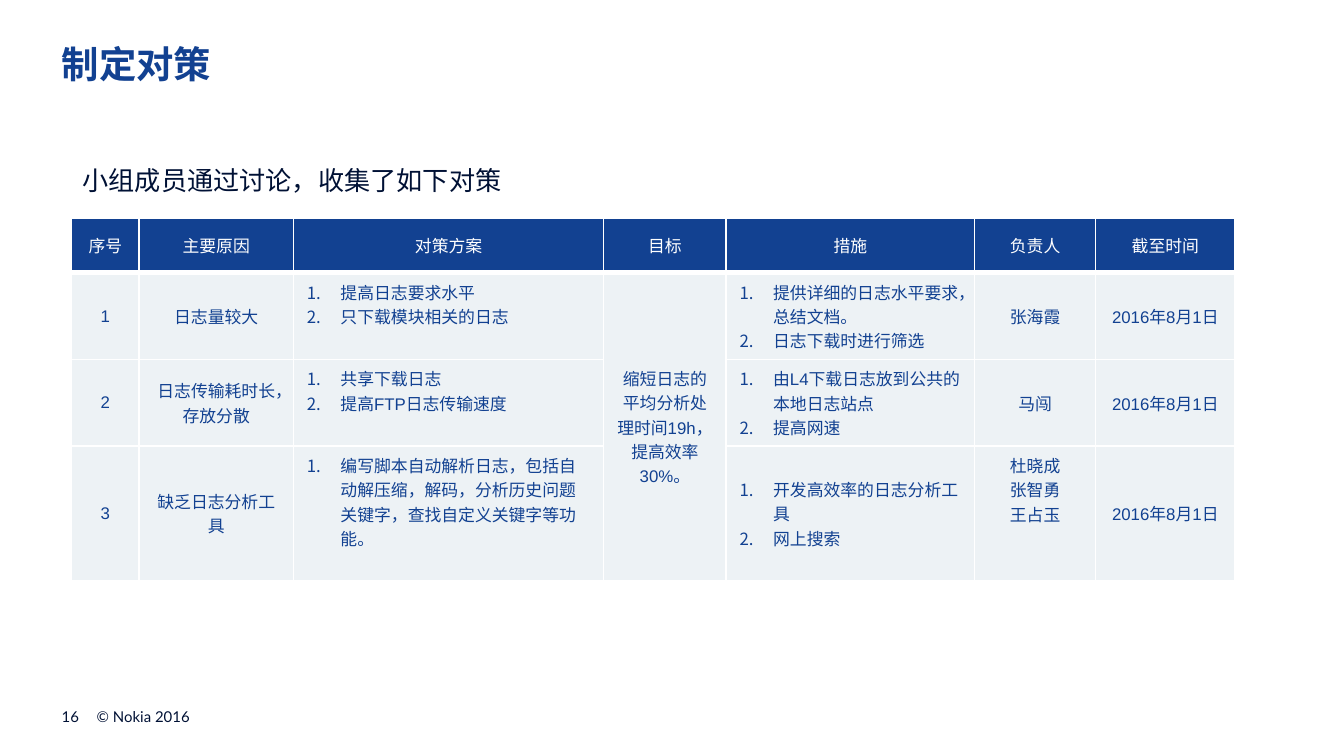
from dataclasses import dataclass

from lxml.etree import SubElement
from pptx import Presentation
from pptx.dml.color import RGBColor
from pptx.enum.text import MSO_ANCHOR as Anchor, MSO_AUTO_SIZE as AutoSize, PP_ALIGN as Align
from pptx.oxml.ns import qn
from pptx.util import Pt

BLUE = RGBColor(0x12, 0x41, 0x91)
NAVY = RGBColor(0x00, 0x11, 0x35)
PALE = RGBColor(0xED, 0xF2, 0xF5)
WHITE = RGBColor(0xFF, 0xFF, 0xFF)

LEFT_MARGIN = 33.1
TABLE_LEFT, TABLE_TOP = 38.4, 116.7
COLUMN_WIDTHS = [36, 82.8, 166.2, 65.6, 133.1, 64.9, 74.6]
ROW_HEIGHTS = [29.5, 46.4, 46.4, 72]
HEADINGS = ["序号", "主要原因", "对策方案", "目标", "措施", "负责人", "截至时间"]
GOAL_COLUMN = 3
GOAL = "缩短日志的平均分析处理时间19h，提高效率30%。"
DEADLINE = "2016年8月1日"


@dataclass
class Label:
    text: str
    left: float
    top: float
    width: float
    height: float
    size: float
    inset: float = 0
    anchor: Anchor = Anchor.TOP


@dataclass
class Measure:
    cause: str
    plans: list[str]
    actions: list[str]
    owners: list[str]


LABELS = [
    Label("16", LEFT_MARGIN, 379.4, 11.5, 9.4, 8, anchor=Anchor.BOTTOM),
    Label("© Nokia 2016", 51.8, 379.4, 141.8, 9.4, 8, anchor=Anchor.BOTTOM),
    Label("小组成员通过讨论，收集了如下对策", TABLE_LEFT, 82.1, 380.9, 28.1, 14, inset=5.8),
]

MEASURES = [
    Measure("日志量较大",
            ["提高日志要求水平", "只下载模块相关的日志"],
            ["提供详细的日志水平要求，总结文档。", "日志下载时进行筛选"],
            ["张海霞"]),
    Measure("日志传输耗时长，存放分散",
            ["共享下载日志", "提高FTP日志传输速度"],
            ["由L4下载日志放到公共的本地日志站点", "提高网速"],
            ["马闯"]),
    Measure("缺乏日志分析工具",
            ["编写脚本自动解析日志，包括自动解压缩，解码，分析历史问题关键字，查找自定义关键字等功能。"],
            ["开发高效率的日志分析工具", "网上搜索"],
            ["杜晓成", "张智勇", "王占玉"]),
]


def set_font(paragraph, name: str, size: float, color: RGBColor, bold: bool = False) -> None:
    font = paragraph.font
    font.name, font.size, font.bold = name, Pt(size), bold
    font.color.rgb = color


def set_insets(frame, inset: float) -> None:
    frame.margin_left = frame.margin_right = Pt(inset)
    frame.margin_top = frame.margin_bottom = Pt(inset)


def add_label(slide, label: Label) -> None:
    box = slide.shapes.add_textbox(
        Pt(label.left), Pt(label.top), Pt(label.width), Pt(label.height))
    frame = box.text_frame
    frame.word_wrap = True
    frame.vertical_anchor = label.anchor
    set_insets(frame, label.inset)
    frame.text = label.text
    set_font(frame.paragraphs[0], "Lato", label.size, NAVY)


def number_paragraph(paragraph) -> None:
    properties = paragraph._p.get_or_add_pPr()
    properties.set("marL", str(Pt(18)))
    properties.set("indent", str(-Pt(18)))
    SubElement(properties, qn("a:buAutoNum"), type="arabicPeriod")


def add_borders(cell, top: float = 1, bottom: float = 1) -> None:
    properties = cell._tc.get_or_add_tcPr()
    for side, width in (("L", 1), ("R", 1), ("T", top), ("B", bottom)):
        line = SubElement(properties, qn(f"a:ln{side}"), w=str(Pt(width)))
        fill = SubElement(line, qn("a:solidFill"))
        SubElement(fill, qn("a:srgbClr"), val=str(WHITE))


def fill_cell(cell, lines: list[str], header: bool = False, numbered: bool = False,
              anchor: Anchor = Anchor.MIDDLE) -> None:
    cell.fill.solid()
    cell.fill.fore_color.rgb = BLUE if header else PALE
    cell.vertical_anchor = anchor
    cell.margin_left = cell.margin_right = Pt(7.2)
    cell.margin_top = cell.margin_bottom = Pt(3.6)
    cell.text_frame.text = "\n".join(lines)
    for paragraph in cell.text_frame.paragraphs:
        if numbered:
            number_paragraph(paragraph)
        else:
            paragraph.alignment = Align.CENTER
        set_font(paragraph, "Roboto" if header else "Arial", 9, WHITE if header else BLUE)


def add_measures_table(slide) -> None:
    table = slide.shapes.add_table(
        len(ROW_HEIGHTS), len(COLUMN_WIDTHS), Pt(TABLE_LEFT), Pt(TABLE_TOP),
        Pt(sum(COLUMN_WIDTHS)), Pt(sum(ROW_HEIGHTS))).table
    table.horz_banding = False
    for column, width in zip(table.columns, COLUMN_WIDTHS):
        column.width = Pt(width)
    for index, (row, height) in enumerate(zip(table.rows, ROW_HEIGHTS)):
        row.height = Pt(height)
        for cell in row.cells:
            add_borders(cell, top=3 if index == 1 else 1, bottom=3 if index == 0 else 1)

    for cell, heading in zip(table.rows[0].cells, HEADINGS):
        fill_cell(cell, [heading], header=True)

    goal = table.cell(1, GOAL_COLUMN)
    goal.merge(table.cell(len(MEASURES), GOAL_COLUMN))
    fill_cell(goal, [GOAL])

    for number, measure in enumerate(MEASURES, start=1):
        cells = table.rows[number].cells
        owners_anchor = Anchor.TOP if len(measure.owners) > 1 else Anchor.MIDDLE
        fill_cell(cells[0], [str(number)])
        fill_cell(cells[1], [measure.cause])
        fill_cell(cells[2], measure.plans, numbered=True, anchor=Anchor.TOP)
        fill_cell(cells[4], measure.actions, numbered=True)
        fill_cell(cells[5], measure.owners, anchor=owners_anchor)
        fill_cell(cells[6], [DEADLINE])


def add_title(slide, text: str) -> None:
    title = slide.shapes.title
    title.left, title.top = Pt(LEFT_MARGIN), Pt(22.3)
    title.width, title.height = Pt(654.5), Pt(24.5)
    frame = title.text_frame
    frame.auto_size = AutoSize.NONE
    frame.vertical_anchor = Anchor.TOP
    set_insets(frame, 0)
    frame.text = text
    frame.paragraphs[0].alignment = Align.LEFT
    set_font(frame.paragraphs[0], "Roboto", 20, BLUE, bold=True)


def main() -> None:
    deck = Presentation()
    deck.slide_width, deck.slide_height = Pt(720), Pt(405)
    slide = deck.slides.add_slide(deck.slide_layouts.get_by_name("Title Only"))
    add_title(slide, "制定对策")
    add_measures_table(slide)
    for label in LABELS:
        add_label(slide, label)
    deck.save("out.pptx")


if __name__ == "__main__":
    main()
